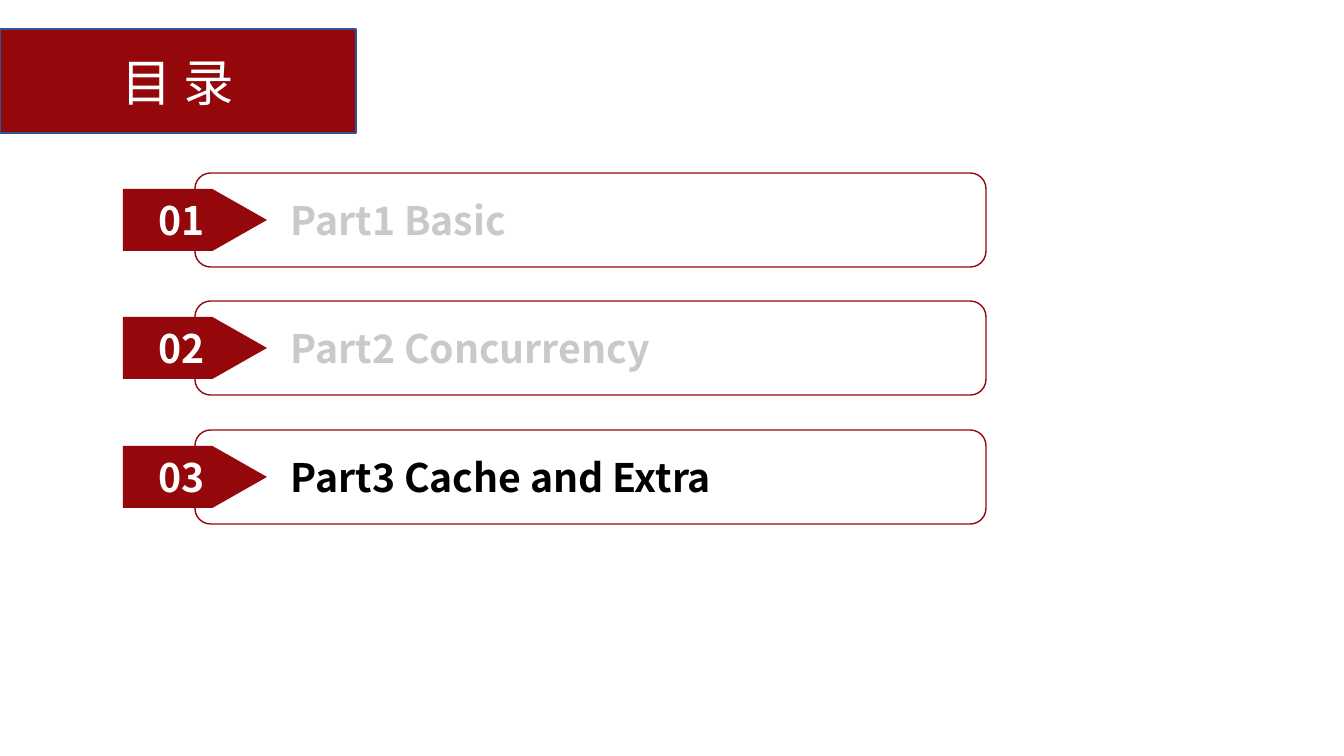
from lxml.etree import SubElement
from pptx import Presentation
from pptx.dml.color import RGBColor
from pptx.enum.shapes import MSO_SHAPE
from pptx.enum.text import MSO_ANCHOR, MSO_AUTO_SIZE, PP_ALIGN
from pptx.oxml.ns import qn
from pptx.util import Pt

SCALE = 914400 / 100.8  # EMU in one px
FONT = "Noto Sans CJK SC"
COLORS = {
    "red": "94070A",
    "blue": "325491",
    "white": "FFFFFF",
    "gray": "C9C9C9",
    "black": "000000",
}
PARTS = [
    ("Part1 Basic", "gray"),
    ("Part2 Concurrency", "gray"),
    ("Part3 Cache and Extra", "black"),
]


def px(*sizes):
    return [round(size * SCALE) for size in sizes]


def color(name):
    return RGBColor.from_string(COLORS[name])


def add_block(shapes, kind, box, fill=None, line=None):
    block = shapes.add_shape(kind, *px(*box))
    block.shadow.inherit = False
    if fill:
        block.fill.solid()
        block.fill.fore_color.rgb = color(fill)
    else:
        block.fill.background()
    if line:
        block.line.color.rgb = color(line)
        block.line.width = Pt(1)
    else:
        block.line.fill.background()
    return block


def write(shape, text, size, ink, bold=False, align=PP_ALIGN.CENTER):
    par = shape.text_frame.paragraphs[0]
    par.alignment = align
    run = par.add_run()
    run.text = text
    font = run.font
    font.size = Pt(size)
    font.bold = bold
    font.color.rgb = color(ink)
    font.name = FONT
    # Chinese glyphs take the East Asian font
    SubElement(run._r.get_or_add_rPr(), qn("a:ea"), typeface=FONT)


def add_title(slide):
    title = add_block(slide.shapes, MSO_SHAPE.RECTANGLE,
                      (0, 29, 356, 104), "red", "blue")
    title.text_frame.vertical_anchor = MSO_ANCHOR.MIDDLE
    write(title, "目 录", 36, "white")


def add_part(slide, num, top, text, ink):
    shapes = slide.shapes.add_group_shape().shapes

    # Frame
    add_block(shapes, MSO_SHAPE.ROUNDED_RECTANGLE,
              (195, top, 791, 94), line="red")

    # Number tag
    tag = add_block(shapes, MSO_SHAPE.PENTAGON, (123, top + 16, 144, 62), "red")
    tag.adjustments[0] = 0.88
    tag.text_frame.vertical_anchor = MSO_ANCHOR.MIDDLE
    write(tag, f"{num:02}", 28, "white", True)

    # Label
    label = shapes.add_textbox(*px(281, top + 18, 514, 57))
    label.text_frame.word_wrap = True
    label.text_frame.auto_size = MSO_AUTO_SIZE.SHAPE_TO_FIT_TEXT
    write(label, text, 28, ink, True, PP_ALIGN.LEFT)


def main():
    deck = Presentation()
    deck.slide_width, deck.slide_height = px(1344, 756)
    slide = deck.slides.add_slide(deck.slide_layouts[6])

    add_title(slide)

    # Two steps span 257 px
    for row, (text, ink) in enumerate(PARTS):
        add_part(slide, row + 1, 173 + row * 257 // 2, text, ink)

    deck.save("out.pptx")


if __name__ == "__main__":
    main()
